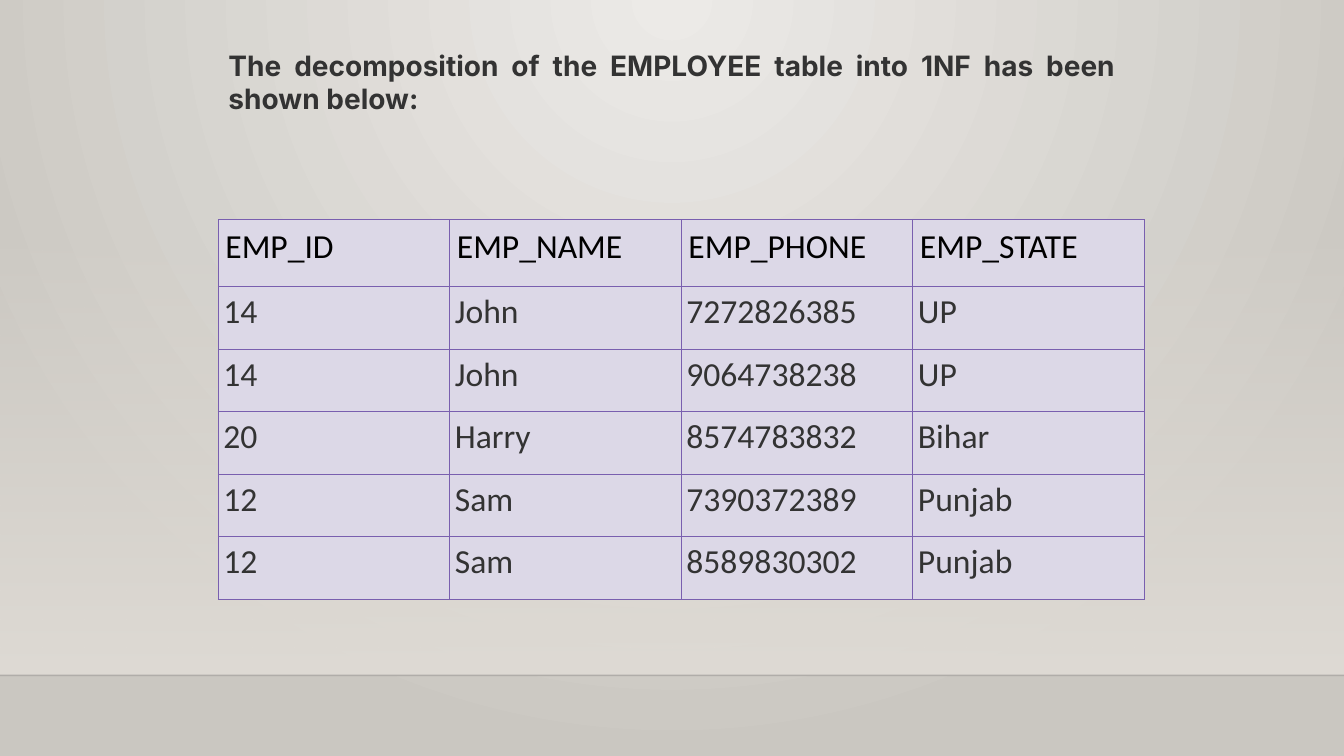
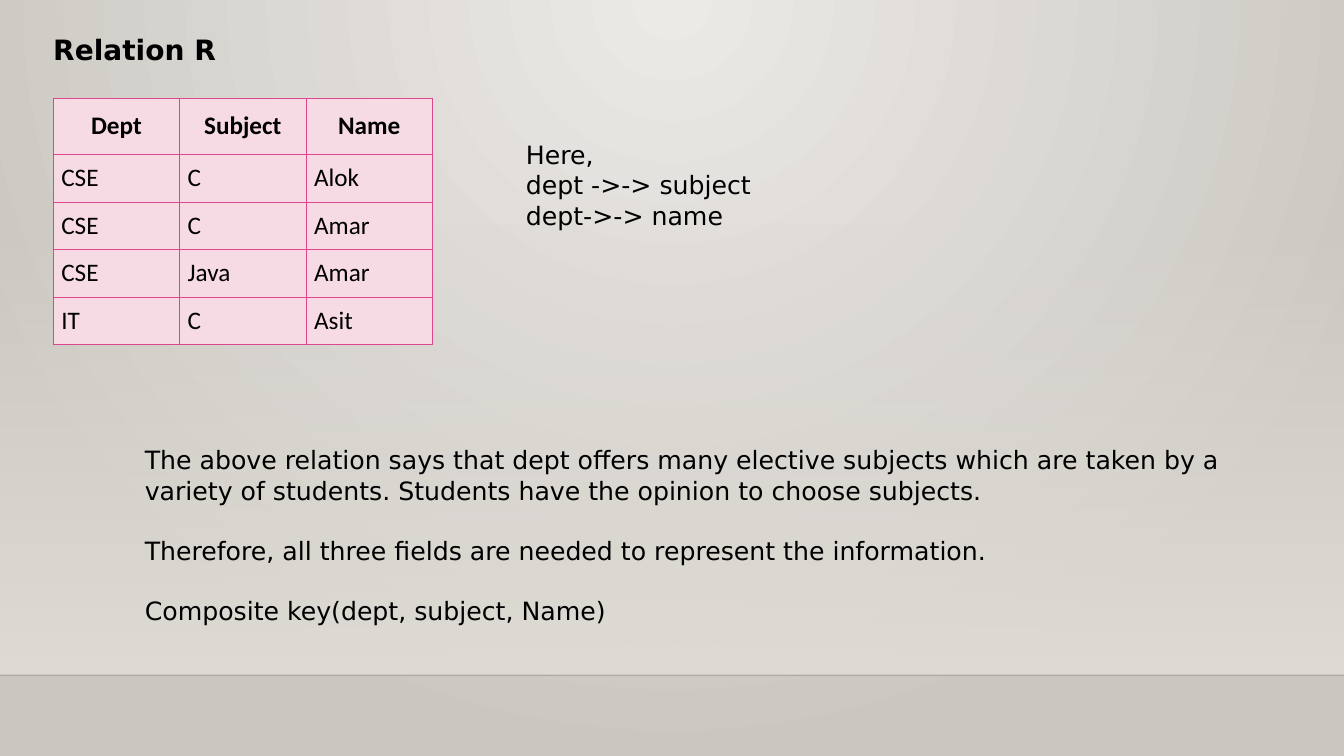
from lxml import etree
from pptx import Presentation
from pptx.dml.color import RGBColor
from pptx.enum import shapes, text
from pptx.oxml import parse_xml
from pptx.oxml.ns import nsdecls, qn
from pptx.util import Pt

WIDE, HIGH, FLOOR = 960, 540, 482.4
BLACK = RGBColor(0x00, 0x00, 0x00)
INK = RGBColor(0x33, 0x33, 0x33)
EDGE = RGBColor(0x00, 0x00, 0x01)
LIGHT = RGBColor(0xEC, 0xEA, 0xE7)
DARK = RGBColor(0xCA, 0xC7, 0xC1)
WALL = RGBColor(0xDF, 0xDB, 0xD5)
PURPLE = RGBColor(0x79, 0x5F, 0xAF)
LILAC = RGBColor(0xDC, 0xD8, 0xE7)
PINK = RGBColor(0xDE, 0x47, 0x8E)
ROSE = RGBColor(0xF6, 0xDA, 0xE4)
SANS = "DejaVu Sans"
LEFT, MID, JUST = text.PP_ALIGN.LEFT, text.PP_ALIGN.CENTER, text.PP_ALIGN.JUSTIFY

STAFF = [
    ["EMP_ID", "EMP_NAME", "EMP_PHONE", "EMP_STATE"],
    ["14", "John", "7272826385", "UP"],
    ["14", "John", "9064738238", "UP"],
    ["20", "Harry", "8574783832", "Bihar"],
    ["12", "Sam", "7390372389", "Punjab"],
    ["12", "Sam", "8589830302", "Punjab"],
]
COURSES = [
    ["Dept", "Subject", "Name"],
    ["CSE", "C", "Alok"],
    ["CSE", "C", "Amar"],
    ["CSE", "Java", "Amar"],
    ["IT", "C", "Asit"],
]
NOTES = [
    "The above relation says that dept offers many elective subjects which are "
    "taken by a variety of students. Students have the opinion to choose subjects.",
    "Therefore, all three fields are needed to represent the information.",
    "Composite key(dept, subject, Name)",
]


def blend(start, end, path, alpha=100):
    """Return gradFill XML whose first stop has the given opacity."""
    return (
        f'<a:gradFill {nsdecls("a")} rotWithShape="1"><a:gsLst>'
        f'<a:gs pos="0"><a:srgbClr val="{start}"><a:alpha val="{alpha * 1000}"/></a:srgbClr></a:gs>'
        f'<a:gs pos="100000"><a:srgbClr val="{end}"/></a:gs>'
        f'</a:gsLst>{path}</a:gradFill>')


def dress(master, slide):
    """Give the master its backdrop, wall and floor line, drawn by way of a slide."""
    glow = ('<a:path path="circle"><a:fillToRect l="43000" t="0" r="43000" '
            'b="100000"/></a:path>')
    page = master.element.find(qn("p:cSld"))
    for old in page.findall(qn("p:bg")):
        page.remove(old)
    page.insert(0, parse_xml(
        f'<p:bg {nsdecls("p", "a")}><p:bgPr>{blend(LIGHT, DARK, glow)}'
        '<a:effectLst/></p:bgPr></p:bg>'))

    wall = slide.shapes.add_shape(
        shapes.MSO_SHAPE.RECTANGLE, 0, Pt(159), Pt(WIDE), Pt(FLOOR - 159))
    wall.shadow.inherit = False
    wall.line.fill.background()
    wall.fill.background()
    props = wall.element.spPr
    props.replace(props.find(qn("a:noFill")), parse_xml(
        blend(WALL, WALL, '<a:lin ang="5400000" scaled="0"/>', 0)))

    edge = slide.shapes.add_connector(
        shapes.MSO_CONNECTOR.STRAIGHT, 0, Pt(FLOOR), Pt(WIDE), Pt(FLOOR))
    edge.line.width = Pt(1)
    edge.line.color.rgb = EDGE
    props = edge.element.spPr
    tone = props.find(".//" + qn("a:srgbClr"))
    etree.SubElement(tone, qn("a:alpha")).set("val", "20000")
    etree.SubElement(props, qn("a:effectLst"))

    tree = master.shapes.element
    for spot, part in enumerate((wall, edge), 2):
        tree.insert(spot, part.element)


def style(para, size, font, color, bold=False, align=LEFT):
    para.alignment = align
    for run in para.runs:
        run.font.size = Pt(size)
        run.font.name = font
        run.font.bold = bold
        run.font.color.rgb = color


def place(shape, box):
    shape.left, shape.top, shape.width, shape.height = map(Pt, box)
    frame = shape.text_frame
    frame.word_wrap = True
    frame.auto_size = text.MSO_AUTO_SIZE.NONE
    return frame


def title(slide, box, words, font, color, inset):
    frame = place(slide.shapes.title, box)
    frame.text = words
    frame.vertical_anchor = text.MSO_ANCHOR.MIDDLE
    frame.margin_left = frame.margin_right = Pt(inset)
    frame.margin_top = frame.margin_bottom = 0
    style(frame.paragraphs[0], 20, font, color, True, JUST)


def prose(shape, box, lines, gap=0, align=LEFT):
    """Fill a box with plain paragraphs, a gap before each but the first."""
    frame = place(shape, box)
    frame.text = "\n".join(lines)
    for spot, para in enumerate(frame.paragraphs):
        props = para._p.get_or_add_pPr()
        props.set("marL", "0")
        props.set("indent", "0")
        etree.SubElement(props, qn("a:buNone"))
        para.space_before = Pt(gap if spot else 0)
        style(para, 18, SANS, BLACK, align=align)


def border(cell, color):
    props = cell._tc.get_or_add_tcPr()
    for spot, side in enumerate("LRTB"):
        props.insert(spot, parse_xml(
            f'<a:ln{side} {nsdecls("a")} w="{Pt(0.75)}"><a:solidFill>'
            f'<a:srgbClr val="{color}"/></a:solidFill></a:ln{side}>'))


def grid(slide, box, data, size, line, fill, head, body):
    """Draw a table; head and body hold row height, insets x and y, and text style."""
    rows, cols = len(data), len(data[0])
    table = slide.shapes.add_table(rows, cols, *map(Pt, box)).table
    table.first_row = table.horz_banding = False
    for col in table.columns:
        col.width = Pt(box[2] / cols)
    for r, words in enumerate(data):
        high, padx, pady, look = body if r else head
        table.rows[r].height = Pt(high)
        for c, word in enumerate(words):
            cell = table.cell(r, c)
            cell.text = word
            cell.margin_left = cell.margin_right = Pt(padx)
            cell.margin_top = cell.margin_bottom = Pt(pady)
            cell.fill.solid()
            cell.fill.fore_color.rgb = fill
            border(cell, line)
            style(cell.text_frame.paragraphs[0], size, "Calibri", **look)


def staff(slide):
    title(slide, (156, 42.5, 648, 31.7),
          "The decomposition of the EMPLOYEE table into 1NF has been shown below:",
          "Inter", INK, 7.2)
    grid(slide, (156, 156.8, 661.6, 271.5), STAFF, 24, PURPLE, LILAC,
         head=(48, 5, 5, dict(color=BLACK)),
         body=(44.7, 3.6, 3.6, dict(color=INK, align=JUST)))


def relation(slide):
    title(slide, (38, 23, 211, 24.5), "Relation R", SANS, BLACK, 0)
    grid(slide, (38, 70.4, 270.9, 176), COURSES, 18, PINK, ROSE,
         head=(40, 7.2, 8.6, dict(color=BLACK, bold=True, align=MID)),
         body=(34, 5.8, 5.8, dict(color=BLACK)))
    here = slide.shapes.add_textbox(0, 0, 0, 0)
    prose(here, (368.6, 96, 480, 72.7),
          ["Here,", "dept ->-> subject", "dept->-> name"], align=JUST)
    prose(slide.placeholders[1], (96.2, 314, 817, 138), NOTES, gap=21.5)


def main():
    deck = Presentation()
    deck.slide_width, deck.slide_height = Pt(WIDE), Pt(HIGH)
    plain, listed = deck.slide_layouts[5], deck.slide_layouts[1]
    first = deck.slides.add_slide(plain)
    dress(deck.slide_master, first)
    staff(first)
    relation(deck.slides.add_slide(listed))
    deck.save("out.pptx")


if __name__ == "__main__":
    main()
